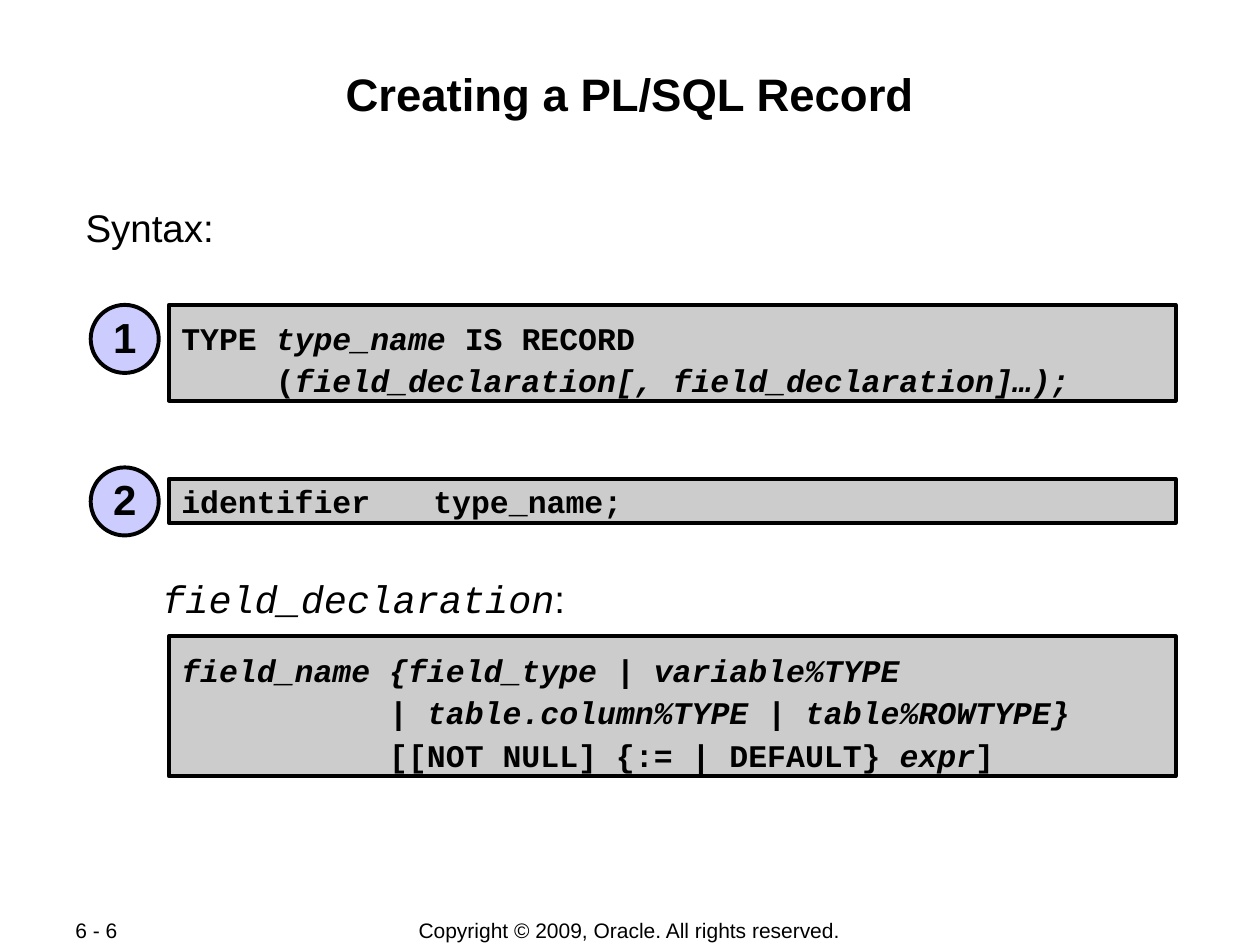
"""Build the slide on the syntax for creating a PL/SQL record."""
from pptx import Presentation
from pptx.dml.color import RGBColor
from pptx.enum import shapes, text
from pptx.util import Inches, Pt


def color(target, value):
    target.solid()
    target.fore_color.rgb = RGBColor.from_string(value)


def write(shape, content, size=18, font="Arial", bold=False, align="LEFT",
          anchor="TOP", inset=0.01, top=0.04, spacing=(1.0,), before=(0,)):
    """Fill a shape with lines of text; asterisks enclose italic parts."""
    frame = shape.text_frame
    frame.word_wrap = True
    frame.auto_size = text.MSO_AUTO_SIZE.NONE
    frame.vertical_anchor = getattr(text.MSO_ANCHOR, anchor)
    frame.margin_left = frame.margin_right = Inches(inset)
    frame.margin_top, frame.margin_bottom = Inches(top), Inches(0.01)
    for index, line in enumerate(content.split("\n")):
        paragraph = frame.paragraphs[0] if index == 0 else frame.add_paragraph()
        paragraph.alignment = getattr(text.PP_ALIGN, align)
        paragraph.line_spacing = spacing[index]
        paragraph.space_before = Pt(before[index])
        for position, part in enumerate(line.split("*")):
            if part:
                run = paragraph.add_run()
                run.text = part
                run.font.size, run.font.name = Pt(size), font
                run.font.bold, run.font.italic = bold, position % 2 == 1
                color(run.font.fill, "000000")
    return frame


presentation = Presentation()
presentation.slide_width, presentation.slide_height = Inches(10), Inches(7.5)
slide = presentation.slides.add_slide(presentation.slide_layouts[5])

title = slide.shapes.title
title.left, title.top = Inches(0.67), Inches(0.48)
title.width, title.height = Inches(8.66), Inches(0.96)
write(title, "Creating a PL/SQL Record", size=26, bold=True, align="CENTER")

labels = [
    ("Syntax:", (0.67, 1.58, 8.66, 1.91), dict(size=22)),
    ("*field_declaration*:", (1.28, 4.52, 7.47, 0.39), dict(size=22, font="Courier New")),
    ("Copyright © 2009, Oracle. All rights reserved.", (2.75, 7.28, 4.49, 0.21),
     dict(size=12, align="CENTER", anchor="MIDDLE", inset=0.1, top=0.01)),
    ("6 - 6", (0.5, 7.28, 1.06, 0.2),
     dict(size=12, anchor="MIDDLE", inset=0.1, top=0.01)),
]
for content, box, style in labels:
    label = slide.shapes.add_textbox(*map(Inches, box))
    frame = write(label, content, **style)
    frame.paragraphs[0].runs[-1].font.name = "Arial"

code = dict(font="Courier New", bold=True, inset=0.1, top=0.1,
            spacing=(1.05, 0.65, 0.65), before=(0, 9, 11))
single = {**code, "top": 0.12, "spacing": (0.65,)}
number = dict(size=24, bold=True, align="CENTER", anchor="MIDDLE",
              inset=0.05, top=0.01, spacing=(0.95,))
panels = [
    ("RECTANGLE", (1.34, 2.42, 7.99, 0.76), "CCCCCC", code,
     "TYPE *type_name* IS RECORD\n"
     "     (*field_declaration[, field_declaration]…);*"),
    ("RECTANGLE", (1.34, 5.05, 7.99, 1.11), "CCCCCC", code,
     "*field_name {field_type *|* variable%TYPE*\n"
     "           |* table.column%TYPE *|* table%ROWTYPE}*\n"
     "           [[NOT NULL] {:= | DEFAULT} *expr*]"),
    ("RECTANGLE", (1.34, 3.8, 7.99, 0.35), "CCCCCC", single,
     "identifier\ttype_name;"),
    ("OVAL", (0.72, 2.42, 0.54, 0.54), "CCCCFF", number, "1"),
    ("OVAL", (0.72, 3.71, 0.54, 0.54), "CCCCFF", number, "2"),
]
for kind, box, fill, style, content in panels:
    panel = slide.shapes.add_shape(getattr(shapes.MSO_SHAPE, kind), *map(Inches, box))
    panel.shadow.inherit = False
    color(panel.fill, fill)
    color(panel.line.fill, "000000")
    panel.line.width = Pt(2.25)
    write(panel, content, **style)

presentation.save("out.pptx")
